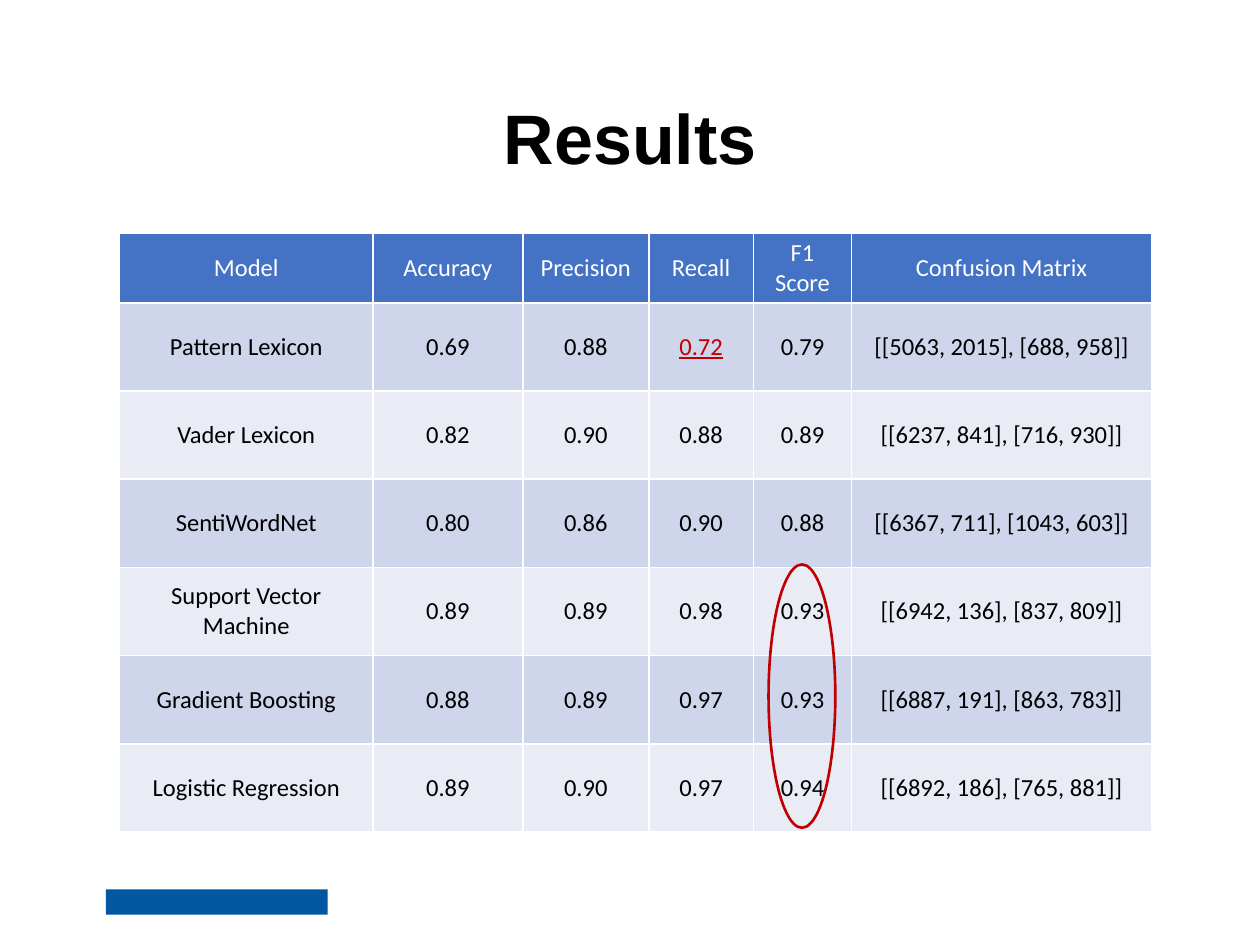
from lxml import etree
from pptx import Presentation
from pptx.dml.color import RGBColor
from pptx.enum.shapes import MSO_SHAPE
from pptx.enum.text import MSO_ANCHOR, PP_ALIGN
from pptx.oxml.ns import qn
from pptx.util import Inches, Pt

CENTER = PP_ALIGN.CENTER
MIDDLE = MSO_ANCHOR.MIDDLE
OVAL = MSO_SHAPE.OVAL
RECTANGLE = MSO_SHAPE.RECTANGLE
TITLE_ONLY = 5

COLORS = {
    "black": "000000",
    "white": "FFFFFF",
    "header": "4472C4",
    "dark_band": "CFD5EA",
    "light_band": "E9EBF5",
    "red": "C00000",
    "blue": "0257A1",
}
COLUMN_WIDTHS = [2.01, 1.19, 1, 0.83, 0.78, 2.38]
HEADER_HEIGHT = 0.52
ROW_HEIGHT = 0.7
RESULTS = [
    ["Model", "Accuracy", "Precision", "Recall", "F1 Score", "Confusion Matrix"],
    ["Pattern Lexicon", "0.69", "0.88", "0.72", "0.79", "[[5063, 2015], [688, 958]]"],
    ["Vader Lexicon", "0.82", "0.90", "0.88", "0.89", "[[6237, 841], [716, 930]]"],
    ["SentiWordNet", "0.80", "0.86", "0.90", "0.88", "[[6367, 711], [1043, 603]]"],
    ["Support Vector Machine", "0.89", "0.89", "0.98", "0.93", "[[6942, 136], [837, 809]]"],
    ["Gradient Boosting", "0.88", "0.89", "0.97", "0.93", "[[6887, 191], [863, 783]]"],
    ["Logistic Regression", "0.89", "0.90", "0.97", "0.94", "[[6892, 186], [765, 881]]"],
]
LOWEST_RECALL = (1, 3)


def color(name):
    """Return the named colour."""
    return RGBColor.from_string(COLORS[name])


def box(left, top, width, height):
    """Convert a position and size in inches to lengths."""
    return [Inches(value) for value in (left, top, width, height)]


def format_font(font, name, size, color_name, bold=False):
    """Set typeface, size, colour and weight."""
    font.name = name
    font.size = Pt(size)
    font.bold = bold
    font.color.rgb = color(color_name)


def add_title(slide, text):
    """Fill and place the title placeholder."""
    title = slide.shapes.title
    title.left, title.top, title.width, title.height = box(0.69, 0.4, 8.62, 1.45)
    title.text_frame.text = text
    title.text_frame.vertical_anchor = MIDDLE
    paragraph = title.text_frame.paragraphs[0]
    paragraph.alignment = CENTER
    paragraph.line_spacing = 0.9
    format_font(paragraph.runs[0].font, "Arial", 40, "black", bold=True)


def add_footer_block(slide):
    """Add the plain block in the footer."""
    shape = slide.shapes.add_shape(RECTANGLE, *box(0.84, 7.06, 1.76, 0.2))
    shape.shadow.inherit = False
    shape.fill.solid()
    shape.fill.fore_color.rgb = color("blue")
    shape.line.fill.background()


def set_border(cell, side, width):
    """Draw one white cell border; side is L, R, T or B."""
    properties = cell._tc.get_or_add_tcPr()
    line = etree.SubElement(properties, qn(f"a:ln{side}"), w=str(Pt(width)))
    fill = etree.SubElement(line, qn("a:solidFill"))
    etree.SubElement(fill, qn("a:srgbClr"), val=COLORS["white"])


def format_cell(cell, text, fill_name, text_color):
    """Write one centred cell with its borders and fill."""
    cell.text_frame.text = text
    cell.vertical_anchor = MIDDLE
    cell.margin_left = cell.margin_right = Inches(0.07)
    cell.margin_top = cell.margin_bottom = Inches(0.04)
    for side in "LRTB":
        set_border(cell, side, 1)
    cell.fill.solid()
    cell.fill.fore_color.rgb = color(fill_name)
    paragraph = cell.text_frame.paragraphs[0]
    paragraph.alignment = CENTER
    format_font(paragraph.runs[0].font, "Calibri", 14, text_color)


def add_results_table(slide):
    """Add the banded table of model scores."""
    heights = [HEADER_HEIGHT] + [ROW_HEIGHT] * (len(RESULTS) - 1)
    frame = slide.shapes.add_table(
        len(RESULTS), len(COLUMN_WIDTHS),
        *box(0.95, 1.85, sum(COLUMN_WIDTHS), sum(heights)))
    table = frame.table
    for column, width in zip(table.columns, COLUMN_WIDTHS):
        column.width = Inches(width)
    for row_index, values in enumerate(RESULTS):
        table.rows[row_index].height = Inches(heights[row_index])
        band = "dark_band" if row_index % 2 else "light_band"
        fill_name, text_color = (band, "black") if row_index else ("header", "white")
        for column_index, text in enumerate(values):
            format_cell(table.cell(row_index, column_index), text, fill_name, text_color)
    font = table.cell(*LOWEST_RECALL).text_frame.paragraphs[0].runs[0].font
    font.color.rgb = color("red")
    font.underline = True


def add_highlight(slide):
    """Ring the best F1 scores."""
    shape = slide.shapes.add_shape(OVAL, *box(6.1, 4.48, 0.53, 2.09))
    shape.shadow.inherit = False
    shape.fill.background()
    shape.line.color.rgb = color("red")
    shape.line.width = Pt(1.5)


def main():
    """Build and save the results slide."""
    presentation = Presentation()
    presentation.slide_width = Inches(10)
    presentation.slide_height = Inches(7.5)
    slide = presentation.slides.add_slide(presentation.slide_layouts[TITLE_ONLY])
    add_footer_block(slide)
    add_title(slide, "Results")
    add_results_table(slide)
    add_highlight(slide)
    presentation.save("out.pptx")


if __name__ == "__main__":
    main()
